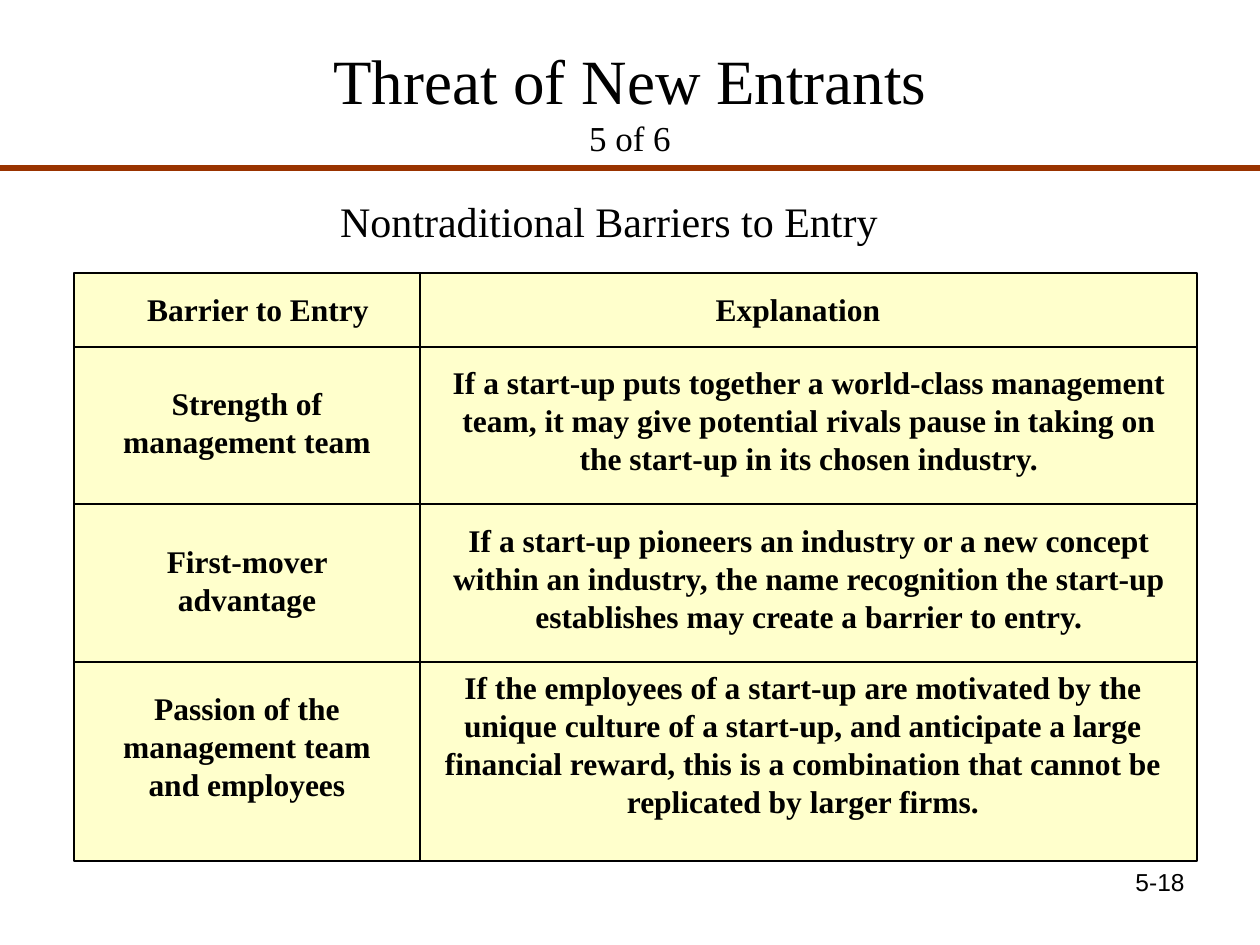
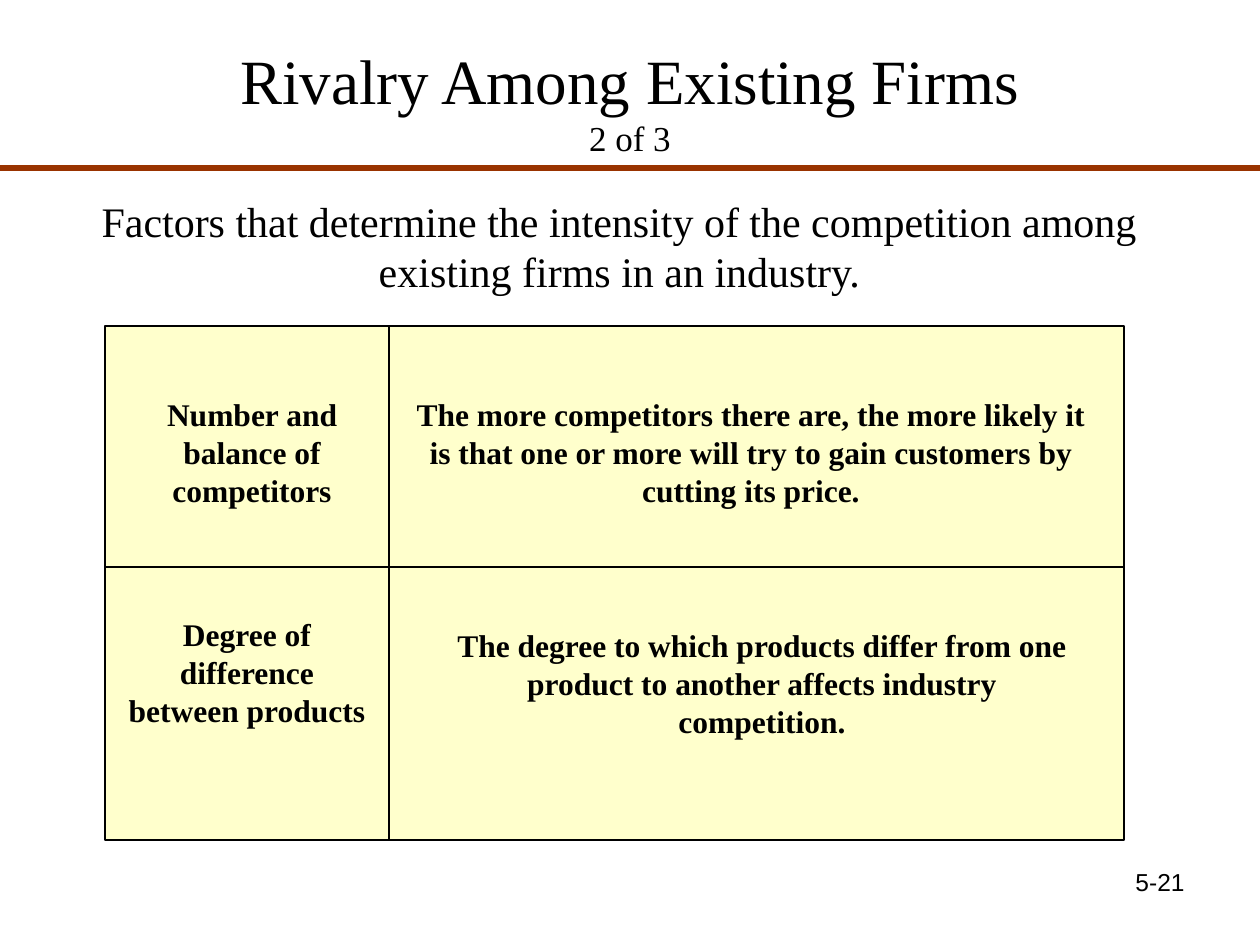
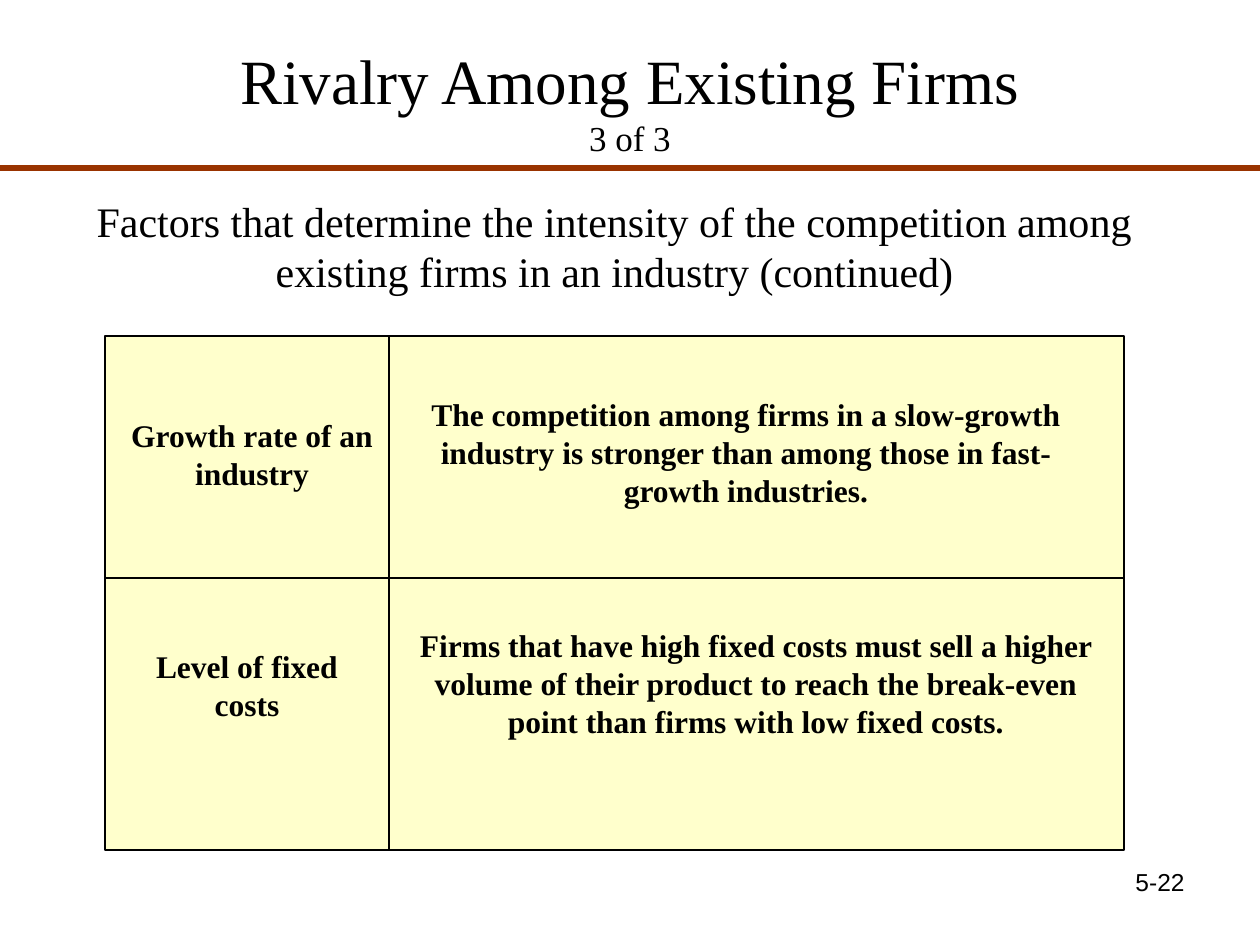
from dataclasses import dataclass

import pptx
import pptx.dml.color
import pptx.enum.shapes
import pptx.enum.text
import pptx.oxml
import pptx.oxml.ns
import pptx.util

ALIGN = pptx.enum.text.PP_ALIGN
ANCHOR = pptx.enum.text.MSO_ANCHOR
PX = 914400 / 126  # EMU in one pixel
WIDTH, HEIGHT = 1260, 945


@dataclass(frozen=True)
class Theme:
    ink: str = "000000"
    rule: str = "993300"
    panel: str = "FFFFCC"
    serif: str = "Times New Roman"
    sans: str = "Arial"
    title: int = 36
    count: int = 20
    lead: int = 24
    body: int = 18
    number: int = 14
    rule_width: float = 3
    grid_width: float = 0.74


@dataclass(frozen=True)
class Block:
    """Text in a box whose height follows from its number of lines."""
    text: str
    left: int
    top: int
    width: int
    lines: int = 1


@dataclass(frozen=True)
class Grid:
    left: int
    top: int
    width: int
    height: int
    column: int              # x of the inner vertical line
    rows: tuple[int, ...]    # y of the inner horizontal lines


@dataclass(frozen=True)
class Page:
    title: str
    count: str
    number: str
    lead: Block
    grid: Grid
    cells: tuple[Block, ...]


T = Theme()


# Drawing helpers
def emu(px: float) -> int:
    return round(px * PX)


def rgb(value: str) -> pptx.dml.color.RGBColor:
    return pptx.dml.color.RGBColor.from_string(value)


def add_text(s, text: str, left: int, top: int, width: int, height: int, *,
             size: int = T.body, font: str = T.serif, bold: bool = False,
             align=ALIGN.CENTER, anchor=ANCHOR.TOP,
             second: str = "", second_size: int = T.count) -> None:
    sp = s.shapes.add_textbox(emu(left), emu(top), emu(width), emu(height))
    tf = sp.text_frame
    tf.word_wrap = True
    tf.vertical_anchor = anchor
    p = tf.paragraphs[0]
    p.alignment = align
    runs = [(text, size)] + ([(second, second_size)] if second else [])
    for i, (words, points) in enumerate(runs):
        if i:
            p.add_line_break()
        r = p.add_run()
        r.text = words
        r.font.size = pptx.util.Pt(points)
        r.font.name = font
        r.font.bold = bold
        r.font.color.rgb = rgb(T.ink)


def add_line(s, x1: int, y1: int, x2: int, y2: int, *,
             color: str = T.ink, width: float = T.grid_width) -> None:
    sp = s.shapes.add_connector(pptx.enum.shapes.MSO_CONNECTOR.STRAIGHT,
                                emu(x1), emu(y1), emu(x2), emu(y2))
    sp.line.color.rgb = rgb(color)
    sp.line.width = pptx.util.Pt(width)
    sp._element.spPr.append(pptx.oxml.parse_xml(
        f'<a:effectLst {pptx.oxml.ns.nsdecls("a")}/>'))


def add_grid(s, g: Grid) -> None:
    sp = s.shapes.add_shape(pptx.enum.shapes.MSO_SHAPE.RECTANGLE,
                            emu(g.left), emu(g.top), emu(g.width), emu(g.height))
    sp.shadow.inherit = False
    sp.fill.solid()
    sp.fill.fore_color.rgb = rgb(T.panel)
    sp.line.color.rgb = rgb(T.ink)
    sp.line.width = pptx.util.Pt(T.grid_width)
    for y in g.rows:
        add_line(s, g.left, y, g.left + g.width, y)
    add_line(s, g.column, g.top, g.column, g.top + g.height)


def add_page(prs, page: Page) -> None:
    s = prs.slides.add_slide(prs.slide_layouts[6])
    # Shared header
    add_text(s, page.title, 63, 21, 1134, 158, size=T.title,
             anchor=ANCHOR.MIDDLE, second=page.count)
    add_line(s, 0, 168, WIDTH, 168, color=T.rule, width=T.rule_width)
    # Lead sentence and grid
    b = page.lead
    add_text(s, b.text, b.left, b.top, b.width, 13 + 50 * b.lines, size=T.lead)
    add_grid(s, page.grid)
    for b in page.cells:
        add_text(s, b.text, b.left, b.top, b.width, 12 + 38 * b.lines, bold=True)
    # Slide number
    add_text(s, page.number, 903, 861, 294, 66, size=T.number, font=T.sans,
             align=ALIGN.RIGHT)


# Content
RIVALRY = "Rivalry Among Existing Firms"
FACTORS = ("Factors that determine the intensity of the competition among "
           "existing firms in an industry")

PAGES = (
    Page("Threat of New Entrants", "5 of 6", "5-18",
         Block("Nontraditional Barriers to Entry", 273, 189, 672),
         Grid(74, 273, 1123, 588, 420, (347, 504, 662)),
         (Block("Barrier to Entry", 74, 284, 368),
          Block("Explanation", 462, 284, 672),
          Block("Strength of management team", 84, 378, 326, 2),
          Block("If a start-up puts together a world-class management team, it "
                "may give potential rivals pause in taking on the start-up in "
                "its chosen industry.", 431, 357, 756, 3),
          Block("First-mover advantage", 84, 536, 326, 2),
          Block("If a start-up pioneers an industry or a new concept within an "
                "industry, the name recognition the start-up establishes may "
                "create a barrier to entry.", 431, 515, 756, 3),
          Block("Passion of the management team and employees",
                84, 683, 326, 3),
          Block("If the employees of a start-up are motivated by the unique "
                "culture of a start-up, and anticipate a large financial "
                "reward, this is a combination that cannot be replicated by "
                "larger firms.", 420, 662, 766, 4))),
    Page(RIVALRY, "2 of 3", "5-21",
         Block(FACTORS + ".", 84, 189, 1071, 2),
         Grid(105, 326, 1019, 514, 389, (567,)),
         (Block("Number and balance of competitors", 105, 389, 294, 3),
          Block("Degree of difference between products", 116, 609, 262, 3),
          Block("The more competitors there are, the more likely it is that "
                "one or more will try to gain customers by cutting its price.",
                399, 389, 704, 3),
          Block("The degree to which products differ from one product to "
                "another affects industry competition.", 431, 620, 662, 3))),
    Page(RIVALRY, "3 of 3", "5-22",
         Block(FACTORS + " (continued)", 32, 189, 1165, 2),
         Grid(105, 336, 1019, 514, 389, (578,)),
         (Block("Growth rate of an industry", 105, 410, 294, 2),
          Block("Level of fixed costs", 116, 641, 262, 2),
          Block("The competition among firms in a slow-growth industry is "
                "stronger than among those in fast-growth industries.",
                410, 389, 672, 3),
          Block("Firms that have high fixed costs must sell a higher volume of "
                "their product to reach the break-even point than firms with "
                "low fixed costs.", 399, 620, 714, 3))),
)

prs = pptx.Presentation()
prs.slide_width, prs.slide_height = emu(WIDTH), emu(HEIGHT)
for page in PAGES:
    add_page(prs, page)
prs.save("out.pptx")
